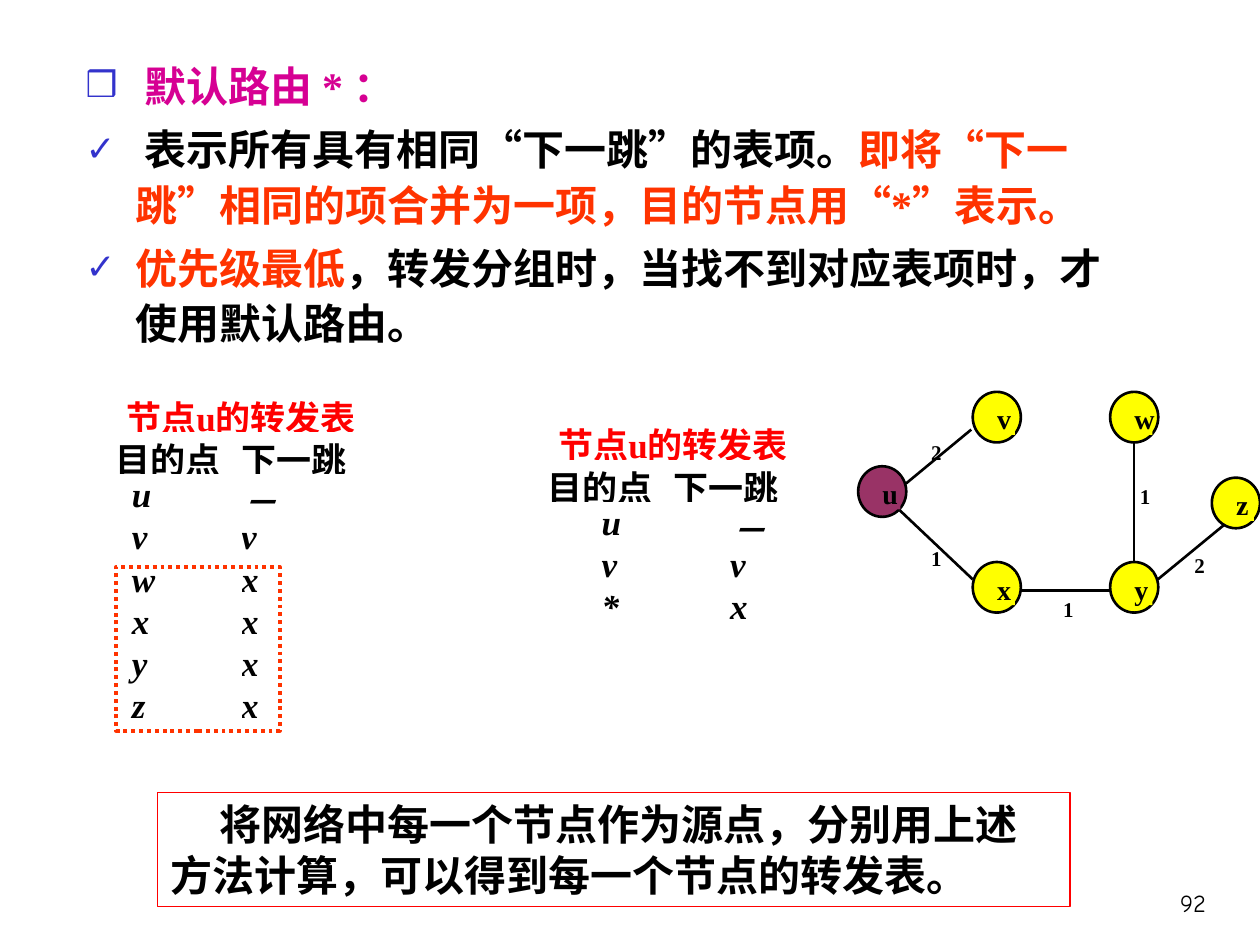
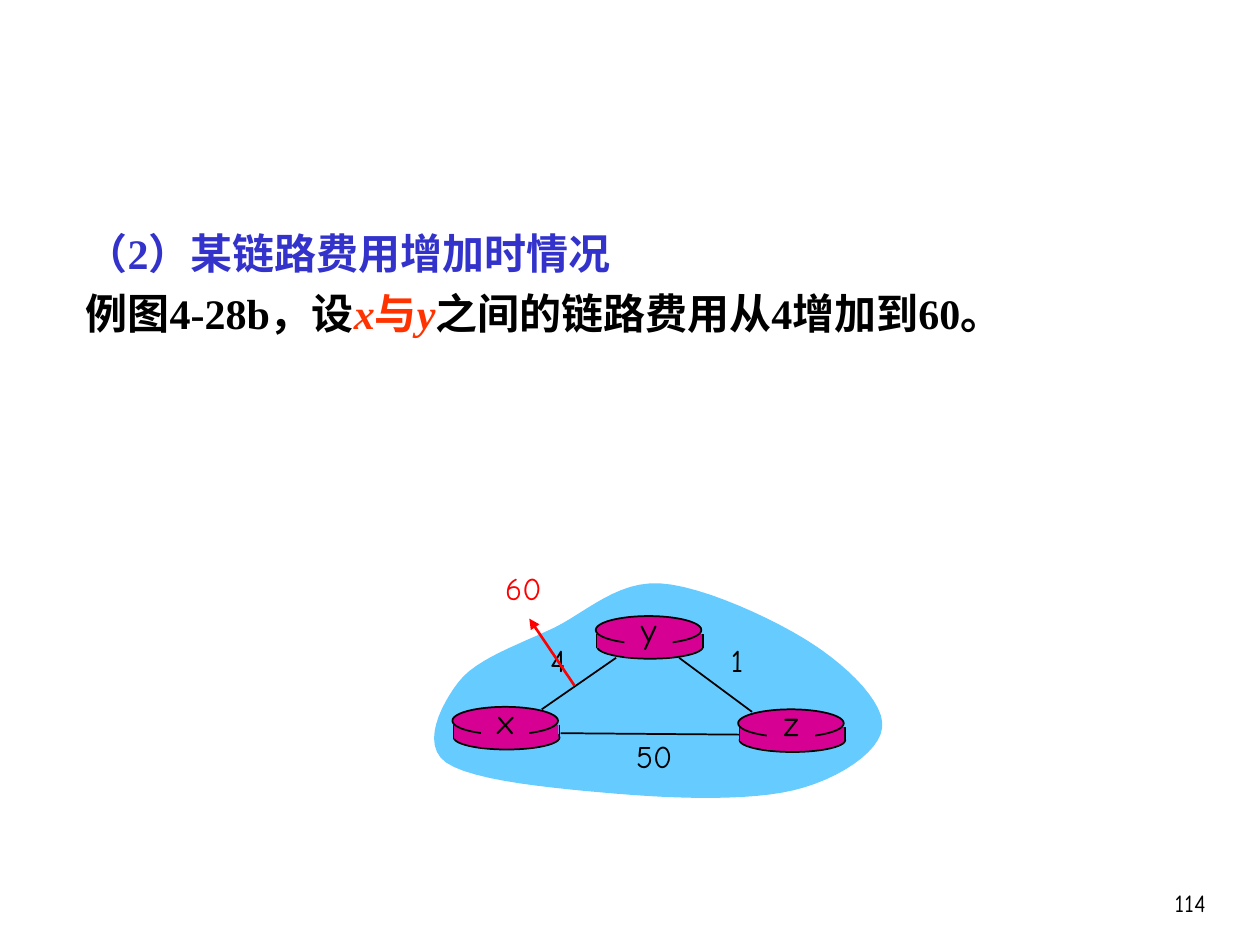
"""Build two slides on default routes and on rising link costs."""
from lxml import etree
from pptx import Presentation
from pptx.dml.color import RGBColor
from pptx.enum.dml import MSO_LINE
from pptx.enum.shapes import MSO_CONNECTOR, MSO_SHAPE
from pptx.enum.text import MSO_ANCHOR, MSO_AUTO_SIZE, PP_ALIGN
from pptx.oxml.ns import qn
from pptx.util import Cm, Pt

BLACK = RGBColor(0x00, 0x00, 0x00)
WHITE = RGBColor(0xFF, 0xFF, 0xFF)
RED = RGBColor(0xFF, 0x00, 0x00)
ORANGE = RGBColor(0xFF, 0x33, 0x00)
BLUE = RGBColor(0x33, 0x33, 0xCC)
MAGENTA = RGBColor(0xD6, 0x00, 0x93)
PLUM = RGBColor(0x99, 0x33, 0x66)
YELLOW = RGBColor(0xFF, 0xFF, 0x00)
SKY = RGBColor(0x66, 0xCC, 0xFF)
SERIF = "Times New Roman"
COMIC = "Comic Neue"

NODES = {
    "u": (17.3, 9.4), "y": (22.38, 11.33), "x": (19.61, 11.33),
    "w": (22.38, 7.9), "v": (19.61, 7.9), "z": (24.43, 9.63),
}
NODE_LINKS = [
    ((22.86, 8.92), (22.86, 11.33)), ((20.57, 11.91), (22.38, 11.91)),
    ((19.58, 8.66), (18.26, 9.75)), ((24.69, 10.57), (23.34, 11.68)),
    ((18.14, 10.29), (19.61, 11.68)),
]
NODE_COSTS = [
    ("2", 18.52, 8.74), ("1", 22.73, 9.63), ("2", 23.83, 11.02),
    ("1", 18.52, 10.87), ("1", 21.18, 11.91),
]
ROUTERS = {"x": (9.12, 14.25), "z": (14.88, 14.3), "y": (12.01, 12.42)}
ROUTER_LINKS = [
    ((10.92, 14.3), (12.42, 13.26)), ((13.69, 13.26), (15.16, 14.35)),
    ((14.99, 14.81), (11.3, 14.78)),
]
ROUTER_COSTS = [
    ("1", 14.24, 12.8, BLACK), ("4", 10.63, 12.8, BLACK),
    ("50", 12.57, 14.73, BLACK), ("60", 9.93, 11.35, RED),
]
CLOUD_START = (9.25, 13.74)
CLOUD_CURVES = [
    ((9.6, 13.28), (10.49, 12.98), (11.18, 12.65)),
    ((11.84, 12.32), (12.45, 11.71), (13.31, 11.76)),
    ((14.17, 11.81), (15.65, 12.5), (16.38, 12.98)),
    ((17.12, 13.46), (17.86, 14.2), (17.78, 14.68)),
    ((17.73, 15.16), (16.89, 15.72), (16, 15.93)),
    ((15.09, 16.15), (13.59, 16.1), (12.42, 16)),
    ((11.25, 15.9), (9.53, 15.75), (8.99, 15.37)),
    ((8.48, 15.01), (8.89, 14.2), CLOUD_START),
]


def style(run, size, color, face=SERIF, bold=False, italic=False):
    font = run.font
    font.size, font.name, font.bold, font.italic = Pt(size), face, bold, italic
    font.color.rgb = color


def write(shape, text, size, color=BLACK, face=SERIF, bold=False, align=PP_ALIGN.LEFT, wrap=True):
    frame = shape.text_frame
    frame.word_wrap = wrap
    frame.vertical_anchor = MSO_ANCHOR.TOP
    frame.text = text
    paragraph = frame.paragraphs[0]
    paragraph.alignment = align
    style(paragraph.runs[0], size, color, face, bold)
    return paragraph


def add_label(slide, text, left, top, width, height, size, **look):
    box = slide.shapes.add_textbox(Cm(left), Cm(top), Cm(width), Cm(height))
    write(box, text, size, **look)


def paint(shape, fill=None, line=None, weight=1):
    shape.shadow.inherit = False
    if fill is None:
        shape.fill.background()
    else:
        shape.fill.solid()
        shape.fill.fore_color.rgb = fill
    if line is None:
        shape.line.fill.background()
    else:
        shape.line.color.rgb = line
        shape.line.width = Pt(weight)


def add_preset(slide, preset, left, top, width, height, **look):
    shape = slide.shapes.add_shape(preset, Cm(left), Cm(top), Cm(width), Cm(height))
    paint(shape, **look)
    return shape


def add_line(slide, start, end, weight, color=BLACK, arrow=False):
    line = slide.shapes.add_connector(MSO_CONNECTOR.STRAIGHT, *map(Cm, start + end))
    line.line.color.rgb = color
    line.line.width = Pt(weight)
    if arrow:
        etree.SubElement(line.line._get_or_add_ln(), qn("a:tailEnd"), type="triangle")
    etree.SubElement(line._element.spPr, qn("a:effectLst"))


def set_indent(paragraph, margin, first_line):
    properties = paragraph._p.get_or_add_pPr()
    properties.set("marL", str(Cm(margin)))
    properties.set("indent", str(Cm(first_line)))
    return properties


def set_bullet(properties, bullet):
    if bullet is None:
        etree.SubElement(properties, qn("a:buNone"))
        return
    color = etree.SubElement(properties, qn("a:buClr"))
    etree.SubElement(color, qn("a:srgbClr"), val=str(BLUE))
    etree.SubElement(properties, qn("a:buSzPct"), val="85000")
    etree.SubElement(properties, qn("a:buChar"), char=bullet)


def add_page(prs, number, top, height, points, indent, spacing, gap):
    """Add a slide with its page number and its body list."""
    slide = prs.slides.add_slide(prs.slide_layouts[1])
    title = slide.shapes.title._element
    title.getparent().remove(title)
    add_label(slide, number, 22.68, 17.78, 1.88, 1.27, 14, face=COMIC, align=PP_ALIGN.RIGHT)
    body = slide.placeholders[1]
    body.left, body.top, body.width, body.height = map(Cm, (1.47, top, 21.59, height))
    frame = body.text_frame
    frame.auto_size = MSO_AUTO_SIZE.NONE
    for index, (bullet, pieces) in enumerate(points):
        paragraph = frame.add_paragraph() if index else frame.paragraphs[0]
        paragraph.line_spacing = spacing
        paragraph.space_before = Pt(gap if index else 0)
        set_bullet(set_indent(paragraph, indent, -indent), bullet)
        for text, color, *italic in pieces:
            run = paragraph.add_run()
            run.text = text
            style(run, 24, color, bold=True, italic=bool(italic))
    return slide


def add_forwarding_table(slide, left, top, hops, indents):
    """Add a table of destinations and next hops under a merged title row."""
    rows = [("节点u的转发表", ""), ("目的点", "下一跳"), *hops]
    row_height = Cm(0.85)
    table = slide.shapes.add_table(
        len(rows), 2, Cm(left), Cm(top), Cm(5.08), row_height * len(rows)).table
    table.first_row = table.horz_banding = False
    for row_index, row in enumerate(rows):
        table.rows[row_index].height = row_height
        for column, text in enumerate(row):
            cell = table.cell(row_index, column)
            cell.fill.solid()
            cell.fill.fore_color.rgb = WHITE
            cell.margin_top = cell.margin_bottom = cell.margin_right = 0
            cell.margin_left = Cm(indents[column]) if row_index > 1 else 0
            cell.vertical_anchor = MSO_ANCHOR.MIDDLE
            cell.text = text
            for run in cell.text_frame.paragraphs[0].runs:
                style(run, 20, BLACK if row_index else RED, bold=True, italic=row_index > 1)
                run.font.underline = row_index == 1
    table.cell(0, 0).merge(table.cell(0, 1))
    table.cell(0, 0).text_frame.paragraphs[0].alignment = PP_ALIGN.CENTER


def add_node(slide, name, left, top):
    fill = PLUM if name == "u" else YELLOW
    add_preset(slide, MSO_SHAPE.OVAL, left, top, 0.97, 1.02, fill=fill, line=BLACK, weight=1.5)
    plate = add_preset(slide, MSO_SHAPE.RECTANGLE, left + 0.24, top + 0.21, 0.61, 0.66, fill=fill)
    write(plate, name, 16, bold=True, align=PP_ALIGN.JUSTIFY).line_spacing = 0.8


def add_router(slide, name, left, top):
    add_preset(slide, MSO_SHAPE.OVAL, left + 0.03, top + 0.38, 2.13, 0.48,
               fill=MAGENTA, line=BLACK)
    for side in (left + 0.03, left + 2.16):
        add_line(slide, (side, top + 0.36), (side, top + 0.64), 1)
    add_preset(slide, MSO_SHAPE.RECTANGLE, left + 0.03, top + 0.36, 2.11, 0.28, fill=MAGENTA)
    add_preset(slide, MSO_SHAPE.OVAL, left, top, 2.13, 0.56, fill=MAGENTA, line=BLACK)
    add_preset(slide, MSO_SHAPE.RECTANGLE, left + 0.58, top + 0.06, 0.97, 0.76, fill=MAGENTA)
    add_label(slide, name, left + 0.36, top - 0.28, 1.42, 1.12, 20,
              face=COMIC, align=PP_ALIGN.CENTER)


def add_cloud(slide, steps=12):
    """Trace the Bézier outline of the network cloud."""
    outline, start = [], CLOUD_START
    for first, second, end in CLOUD_CURVES:
        for step in range(1, steps + 1):
            t = step / steps
            weights = ((1 - t) ** 3, 3 * t * (1 - t) ** 2, 3 * t * t * (1 - t), t ** 3)
            corners = zip(start, first, second, end)
            outline.append(tuple(
                Cm(sum(w * c for w, c in zip(weights, axis))) for axis in corners))
        start = end
    builder = slide.shapes.build_freeform(*map(Cm, CLOUD_START))
    builder.add_line_segments(outline, close=True)
    paint(builder.convert_to_shape(), fill=SKY)


def build_default_route(prs):
    slide = add_page(prs, "92", 0.99, 6.48, [
        ("❒", [(" 默认路由 * ：", MAGENTA)]),
        ("✓", [(" 表示所有具有相同“下一跳”的表项。", BLACK),
               ("即将“下一跳”相同的项合并为一项，目的节点用“*”表示。", ORANGE)]),
        ("✓", [("优先级最低", ORANGE),
               ("，转发分组时，当找不到对应表项时，才使用默认路由。", BLACK)]),
    ], indent=1.0, spacing=1.1, gap=4.5)
    own_hops = [("u", "－"), ("v", "v")]
    add_forwarding_table(slide, 2.32, 7.87, own_hops + [(node, "x") for node in "wxyz"], (0.34, 0))
    add_forwarding_table(slide, 11.03, 8.43, own_hops + [("*", "x")], (1.1, 1.15))
    callout = add_preset(slide, MSO_SHAPE.RECTANGLE, 3.18, 15.98, 18.39, 2.29,
                         line=RED, weight=0.75)
    conclusion = write(
        callout, "将网络中每一个节点作为源点，分别用上述方法计算，可以得到每一个节点的转发表。",
        24, face=COMIC, bold=True)
    set_indent(conclusion, 0, 1.0)
    for cost, left, top in NODE_COSTS:
        add_label(slide, cost, left, top, 0.61, 0.66, 12, bold=True, align=PP_ALIGN.JUSTIFY)
    for name, corner in NODES.items():
        add_node(slide, name, *corner)
    for start, end in NODE_LINKS:
        add_line(slide, start, end, 1.5)
    merged_rows = add_preset(slide, MSO_SHAPE.RECTANGLE, 2.34, 11.43, 3.3, 3.3,
                             line=ORANGE, weight=2.25)
    merged_rows.line.dash_style = MSO_LINE.ROUND_DOT


def build_cost_increase(prs):
    slide = add_page(prs, "114", 4.45, 4.52, [
        (None, [("（2）某链路费用增加时情况", BLUE)]),
        (None, [("例图4-28b，设", BLACK), ("x", ORANGE, True), ("与", ORANGE),
                ("y", ORANGE, True), ("之间的链路费用从4增加到60。", BLACK)]),
    ], indent=0.97, spacing=1.0, gap=6)
    add_cloud(slide)
    for start, end in ROUTER_LINKS:
        add_line(slide, start, end, 1)
    for name, corner in ROUTERS.items():
        add_router(slide, name, *corner)
    for cost, left, top, color in ROUTER_COSTS:
        add_label(slide, cost, left, top, 1.24, 1.02, 18, color=color, face=COMIC,
                  align=PP_ALIGN.CENTER, wrap=False)
    add_line(slide, (11.58, 13.82), (10.67, 12.47), 1.5, RED, arrow=True)


def main():
    prs = Presentation()
    prs.slide_width, prs.slide_height = Cm(25.4), Cm(19.05)
    build_default_route(prs)
    build_cost_increase(prs)
    prs.save("out.pptx")


if __name__ == "__main__":
    main()
